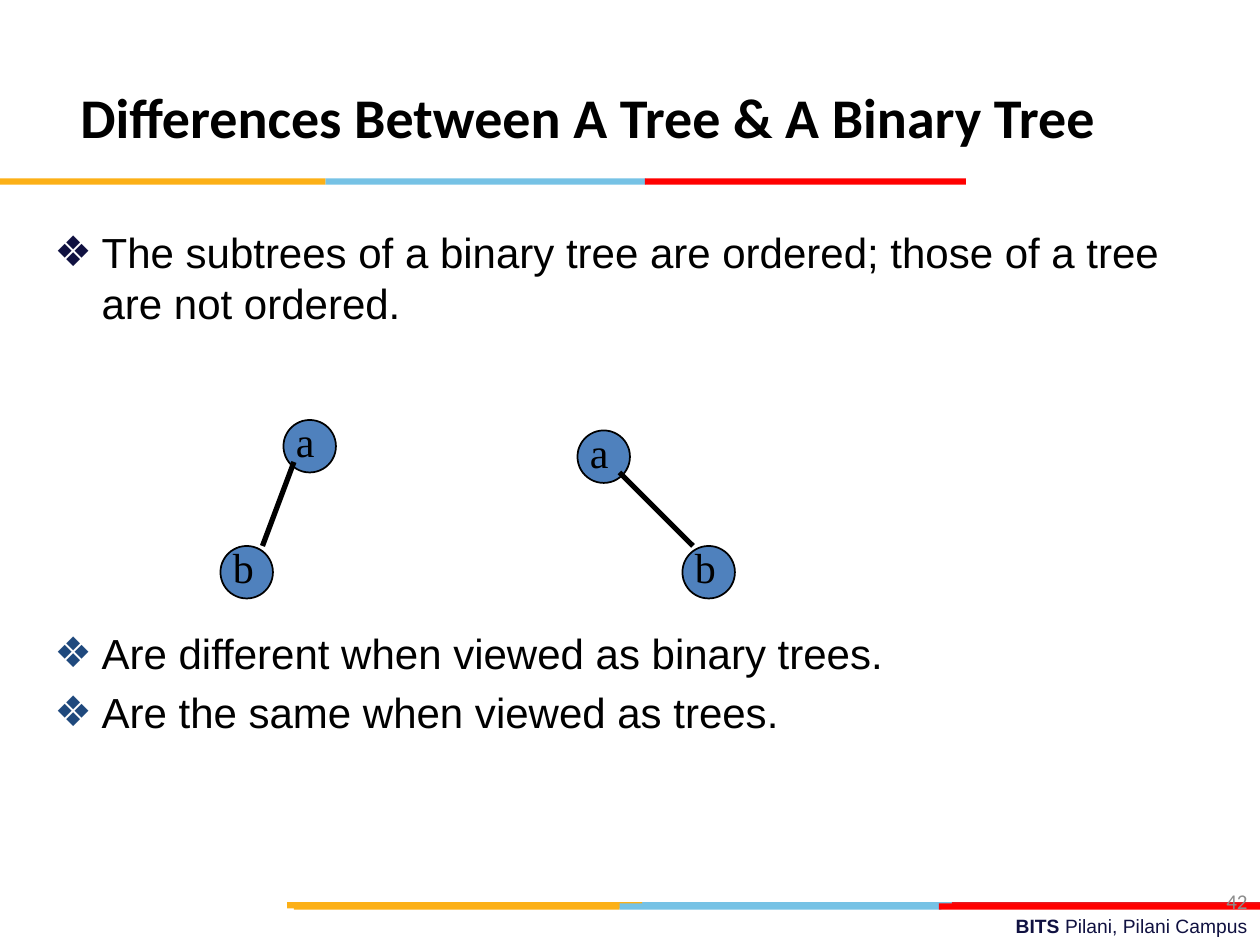
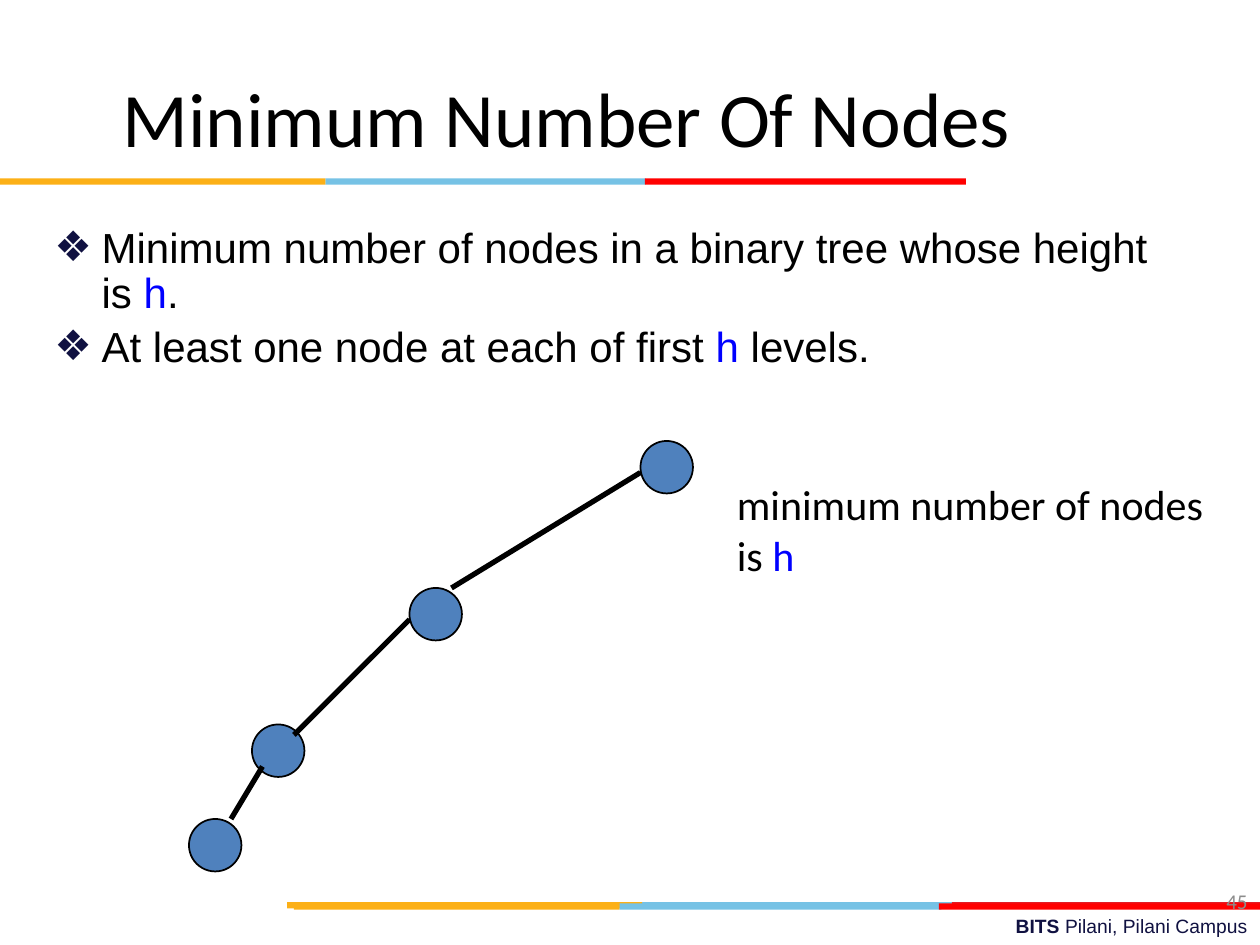
from lxml import etree
from pptx import Presentation
from pptx.dml.color import RGBColor
from pptx.enum.shapes import MSO_CONNECTOR, MSO_SHAPE
from pptx.enum.text import MSO_ANCHOR, PP_ALIGN
from pptx.oxml.ns import qn
from pptx.util import Pt

RECT, OVAL = MSO_SHAPE.RECTANGLE, MSO_SHAPE.OVAL
LINE = MSO_CONNECTOR.STRAIGHT
LEFT, MID, RIGHT = PP_ALIGN.LEFT, PP_ALIGN.CENTER, PP_ALIGN.RIGHT
TOP, CENTER = MSO_ANCHOR.TOP, MSO_ANCHOR.MIDDLE

COLORS = {
    "gold": "FCB017", "sky": "76C2E5", "red": "FF0000", "brick": "E31C24",
    "navy": "101141", "slate": "1F497D", "black": "000000", "blue": "0000FF",
    "node": "4F81BD", "gray": "8C8C8C",
}
BODY = {"name": "Arial", "size": Pt(24)}
SIDE = {"name": "Calibri", "size": Pt(24)}
LABEL = {"name": "Times New Roman", "size": Pt(24)}
FOOT = {"name": "Arial", "size": Pt(11)}
PAGE = {"name": "Calibri", "size": Pt(12)}
NODE = 30  # diameter of a tree node


def color(name):
    return RGBColor.from_string(COLORS[name])


def apply(item, values):
    for key, value in values.items():
        setattr(item, key, value)


def fill_text(para, runs, font):
    """Each run is (text, color) or (text, color, bold)."""
    for text, tint, *bold in runs:
        run = para.add_run()
        run.text = text
        apply(run.font, {**font, "bold": bool(bold and bold[0])})
        run.font.color.rgb = color(tint)


def text_box(slide, box, anchor=TOP):
    frame = slide.shapes.add_textbox(*map(Pt, box)).text_frame
    apply(frame, {"word_wrap": True, "vertical_anchor": anchor})
    return frame


def add_text(slide, box, runs, font, align=LEFT, anchor=TOP):
    para = text_box(slide, box, anchor).paragraphs[0]
    para.alignment = align
    fill_text(para, runs, font)


def add_shape(slide, kind, box, tint):
    shape = slide.shapes.add_shape(kind, *map(Pt, box))
    shape.shadow.inherit = False
    shape.fill.solid()
    shape.fill.fore_color.rgb = color(tint)
    shape.line.fill.background()
    return shape


def add_bands(slide, left, top, bands):
    for shift, width, tint in bands:
        add_shape(slide, RECT, (left + shift, top, width, 3.6), tint)


def add_frame(slide, number):
    # Footer text and lower bands
    add_text(slide, (258, 519, 462, 21),
             [("BITS ", "navy", True), ("Pilani, Pilani Campus", "navy")],
             FOOT, RIGHT)
    add_bands(slide, 164, 515.5, [(200, 184, "sky"), (380, 176, "brick"),
                                  (0, 203, "gold")])
    add_bands(slide, 168, 516.2, [(186, 184, "sky"), (0, 186, "gold"),
                                  (368.5, 183.5, "red")])
    # Bands under the title
    add_bands(slide, 0, 102, [(186, 183, "sky"), (0, 186, "gold"),
                              (368.5, 183.5, "red")])
    # Page number
    add_text(slide, (552, 500.5, 168, 29), [(number, "gray")],
             PAGE, RIGHT, CENTER)


def add_title(slide, left, width, text, size, bold=False):
    add_text(slide, (left, 21.6, width, 90), [(text, "black", bold)],
             {"name": "Calibri", "size": Pt(size)}, MID, CENTER)


def add_bullet(para, tint):
    props = para._p.get_or_add_pPr()
    props.set("marL", str(Pt(27)))
    props.set("indent", str(-Pt(27)))
    fill = etree.SubElement(props, qn("a:buClr"))
    etree.SubElement(fill, qn("a:srgbClr"), val=COLORS[tint])
    etree.SubElement(props, qn("a:buFont"), typeface="Arial")
    etree.SubElement(props, qn("a:buChar"), char="❖")


def add_body(slide, items, pitch=1.0):
    """Each item is (runs, bullet color, space before)."""
    frame = text_box(slide, (24, 126, 648, 356))
    for index, (runs, tint, gap) in enumerate(items):
        para = frame.add_paragraph() if index else frame.paragraphs[0]
        add_bullet(para, tint)
        apply(para, {"line_spacing": pitch, "space_before": Pt(gap)})
        fill_text(para, runs, BODY)


def add_tree(slide, left, top, nodes, links):
    """Nodes are (x, y, label); links are (parent, child, start, end),
    where start and end are offsets from the corner of their node."""
    for x, y, _ in nodes:
        node = add_shape(slide, OVAL, (left + x, top + y, NODE, NODE), "node")
        node.line.color.rgb = color("black")
        node.line.width = Pt(1)
    for parent, child, start, end in links:
        ends = [(left + nodes[i][0] + dx, top + nodes[i][1] + dy)
                for i, (dx, dy) in ((parent, start), (child, end))]
        link = slide.shapes.add_connector(LINE, *map(Pt, ends[0] + ends[1]))
        link.line.color.rgb = color("black")
        link.line.width = Pt(3)
        etree.SubElement(link._element.spPr, qn("a:effectLst"))
    for x, y, label in nodes:
        if label:
            add_text(slide, (left + x, top + y - 6, 24, 36),
                     [(label, "black")], LABEL)


def tree_slide(slide):
    add_frame(slide, "42")
    add_body(slide, [
        ([("The subtrees of a binary tree are ordered; those of a tree "
           "are not ordered.", "black")], "navy", 0),
        ([("Are different when viewed as binary trees.", "black")],
         "slate", 171.7),
        ([("Are the same when viewed as trees.", "black")], "slate", 4.8),
    ])
    # Left child only, then right child only
    add_tree(slide, 126, 240, [(36, 0, "a"), (0, 72, "b")],
             [(0, 1, (6, 24), (24, 0))])
    add_tree(slide, 330, 246, [(0, 0, "a"), (60, 66, "b")],
             [(0, 1, (24, 24), (6, 0))])
    add_title(slide, 24, 624, "Differences Between A Tree & A Binary Tree",
              32, True)


def node_slide(slide):
    add_frame(slide, "45")
    add_body(slide, [
        ([("Minimum number of nodes in a binary tree whose height is ",
           "black"), ("h", "blue"), (".", "black")], "navy", 0),
        ([("At least one node at each of first ", "black"), ("h", "blue"),
          (" levels.", "black")], "navy", 4.8),
    ], 0.9)
    add_title(slide, 0, 648, "Minimum Number Of Nodes", 44)
    # Chain with one node at each level
    add_tree(slide, 108, 252,
             [(258, 0, ""), (126, 84, ""), (36, 162, ""), (0, 216, "")],
             [(0, 1, (0, 18), (24, 0)), (1, 2, (0, 18), (24, 6)),
              (2, 3, (6, 24), (24, 0))])
    add_text(slide, (414, 270, 282, 65.5),
             [("minimum number of nodes is", "black"), (" h", "blue")], SIDE)


def main():
    deck = Presentation()
    apply(deck, {"slide_width": Pt(720), "slide_height": Pt(540)})
    for build in (tree_slide, node_slide):
        build(deck.slides.add_slide(deck.slide_layouts[6]))
    deck.save("out.pptx")


if __name__ == "__main__":
    main()
